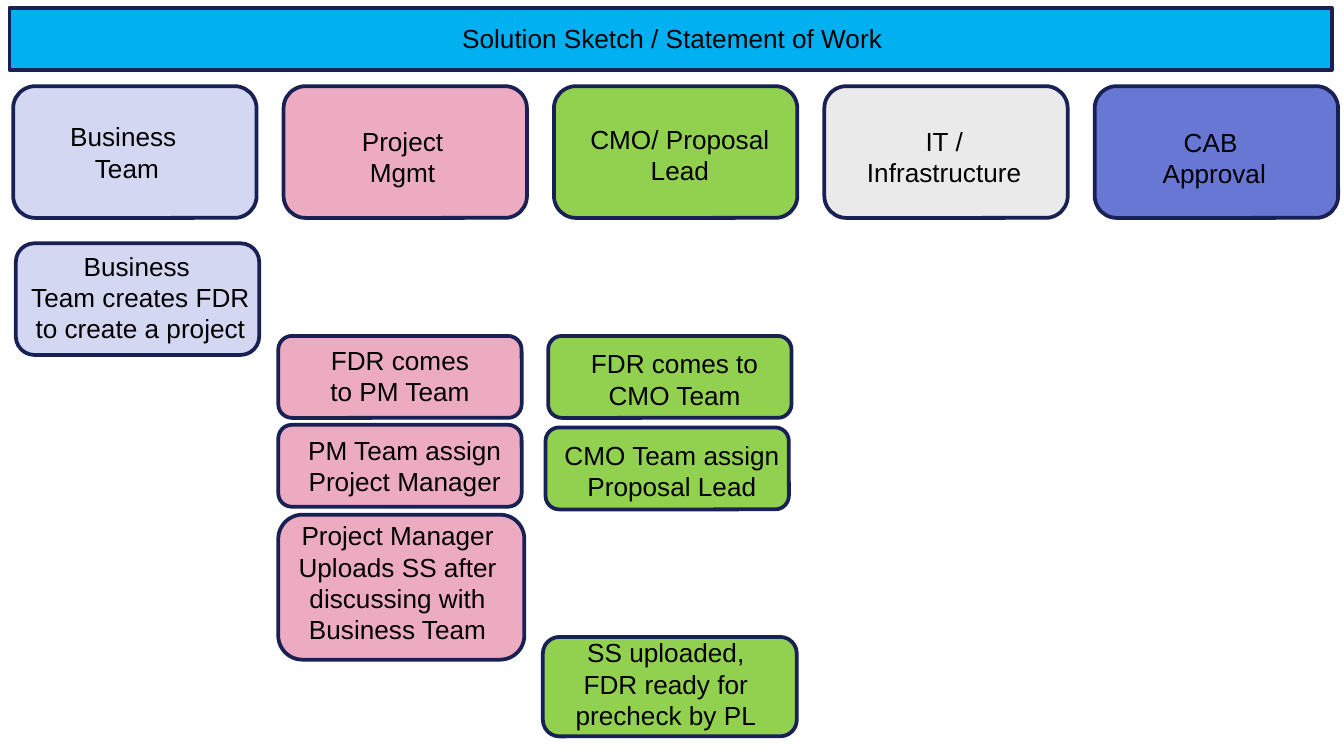
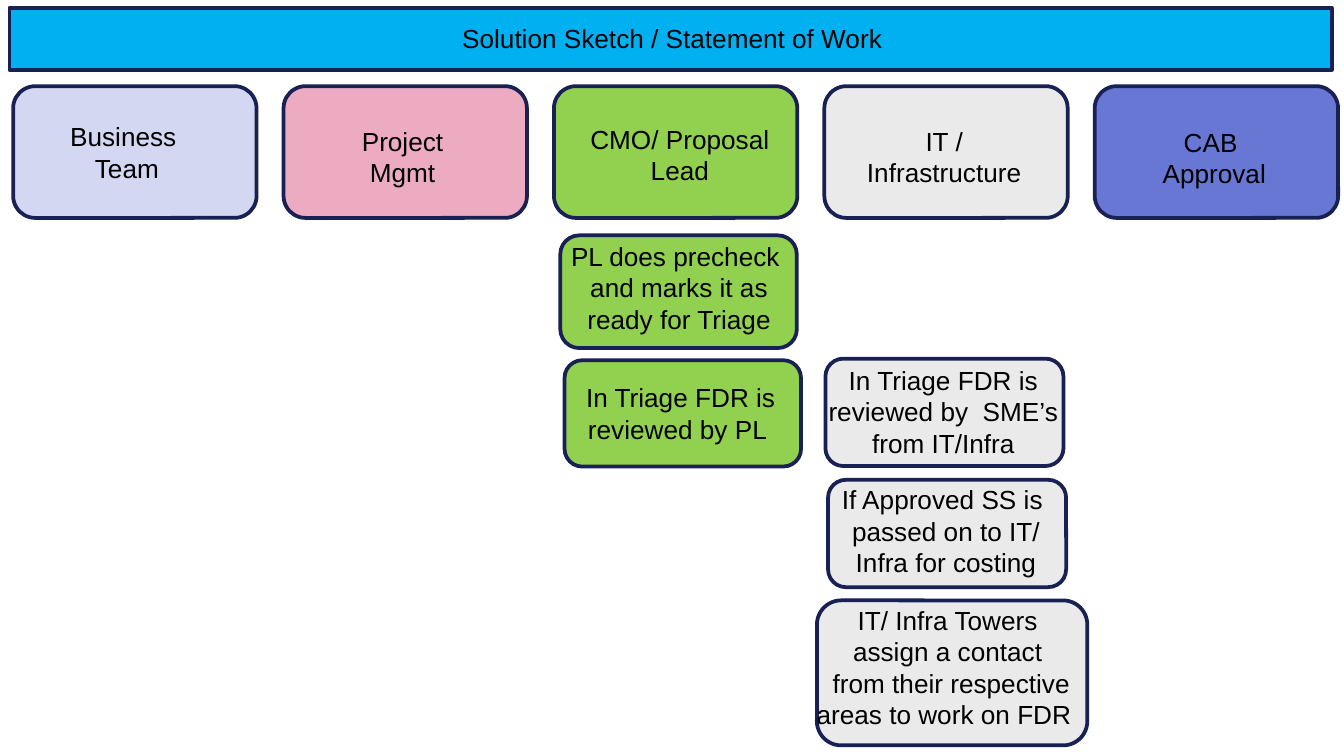
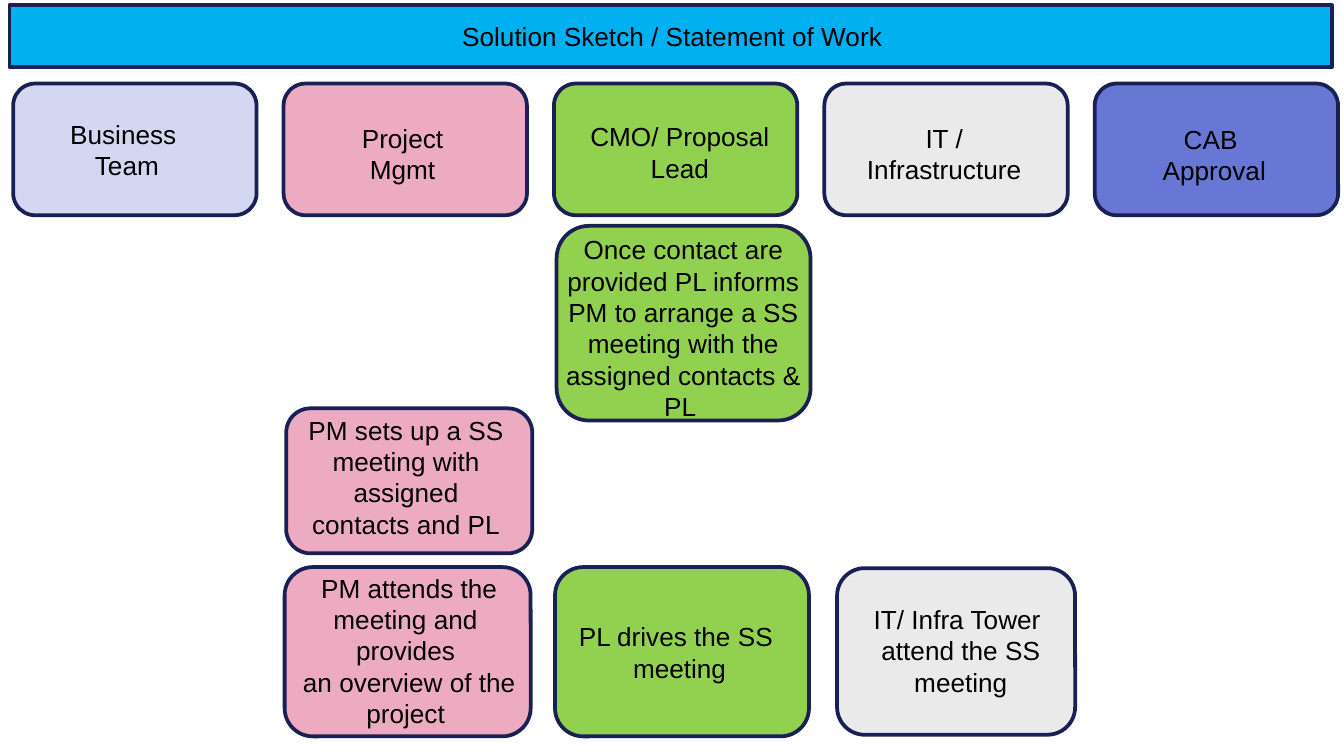
from dataclasses import dataclass

import pptx
import pptx.dml.color
import pptx.enum.shapes
import pptx.enum.text
import pptx.presentation
import pptx.shapes.autoshape
import pptx.shapes.base
import pptx.slide
import pptx.util

Cm = pptx.util.Cm
RGBColor = pptx.dml.color.RGBColor
SHAPE = pptx.enum.shapes.MSO_SHAPE
ALIGN = pptx.enum.text.PP_ALIGN

NAVY = RGBColor(0x18, 0x20, 0x54)
BLACK = RGBColor(0x00, 0x00, 0x00)
SKY = RGBColor(0x00, 0xB0, 0xF0)
LAVENDER = RGBColor(0xD3, 0xD7, 0xF1)
PINK = RGBColor(0xED, 0xAB, 0xC2)
GREEN = RGBColor(0x92, 0xD0, 0x50)
GREY = RGBColor(0xEA, 0xEA, 0xEA)
INDIGO = RGBColor(0x67, 0x77, 0xD3)

FONT = "Arial"
FONT_SIZE = pptx.util.Pt(14)
LINE_WIDTH = pptx.util.Pt(2)
TITLE = "Solution Sketch / Statement of Work"
TITLE_ONLY_LAYOUT = 5
LANE_LEFT, LANE_TOP, LANE_PITCH = 0.25, 1.63, 5.11
LANE_WIDTH, LANE_HEIGHT = 4.6, 2.49


@dataclass(frozen=True)
class Area:
    """Left, top, width and height in centimetres."""

    left: float
    top: float
    width: float
    height: float

    def shifted(self, drop: float) -> "Area":
        """Return the same area moved down by drop."""
        return Area(self.left, self.top + drop, self.width, self.height)


@dataclass(frozen=True)
class Card:
    """A rounded box and the label lying over it."""

    fill: RGBColor
    text: str
    box: Area
    label: Area


@dataclass(frozen=True)
class Page:
    """The process steps of one slide and the offset of its header."""

    steps: tuple[Card, ...]
    header_drop: float = 0


BANNER = Area(0.18, 0.15, 24.99, 1.17)
BANNER_TEXT = Area(8.48, 0.3, 9.7, 0.86)

LANE_LABELS = (
    (LAVENDER, "Business \nTeam", Area(0.84, 2.16, 3.12, 1.45)),
    (PINK, "Project\nMgmt", Area(6.05, 2.24, 3.12, 1.45)),
    (GREEN, "CMO/ Proposal\nLead", Area(10.87, 2.21, 3.96, 1.45)),
    (GREY, "IT / Infrastructure", Area(15.98, 2.24, 3.73, 1.45)),
    (INDIGO, "CAB \nApproval", Area(21.39, 2.26, 3.12, 1.45)),
)
LANES = tuple(
    Card(fill, text, Area(LANE_LEFT + LANE_PITCH * index, LANE_TOP, LANE_WIDTH, LANE_HEIGHT), label)
    for index, (fill, text, label) in enumerate(LANE_LABELS)
)

REQUEST_PAGE = Page((
    Card(LAVENDER, "Business \nTeam creates FDR to create a project",
         Area(0.3, 4.6, 4.6, 2.11), Area(0.18, 4.6, 4.95, 1.73)),
    Card(PINK, "FDR comes to PM Team",
         Area(5.26, 6.35, 4.6, 1.55), Area(5.87, 6.38, 3.38, 0.91)),
    Card(GREEN, "FDR comes to CMO Team",
         Area(10.36, 6.35, 4.6, 1.55), Area(10.77, 6.45, 3.96, 1.45)),
    Card(PINK, "PM Team assign Project Manager",
         Area(5.26, 8.03, 4.6, 1.55), Area(5.54, 8.08, 4.22, 1.45)),
    Card(GREEN, "CMO Team assign Proposal Lead",
         Area(10.31, 8.08, 4.6, 1.55), Area(10.31, 8.18, 4.78, 1.45)),
    Card(PINK, "Project Manager Uploads SS after discussing with Business Team",
         Area(5.26, 9.73, 4.65, 2.74), Area(5.38, 9.7, 4.27, 2.95)),
    Card(GREEN, "SS uploaded,\nFDR ready for precheck by PL",
         Area(10.26, 12.04, 4.8, 1.88), Area(10.03, 11.91, 5.11, 2.49)),
))

TRIAGE_PAGE = Page((
    Card(GREEN, "PL does precheck \nand marks it as ready for Triage",
         Area(10.59, 4.45, 4.47, 2.13), Area(10.46, 4.42, 4.75, 2.34)),
    Card(GREEN, "In Triage FDR is reviewed by PL ",
         Area(10.67, 6.81, 4.47, 2.01), Area(10.49, 7.09, 4.75, 1.35)),
    Card(GREY, "In Triage FDR is reviewed by  SME’s from IT/Infra",
         Area(15.6, 6.78, 4.5, 2.03), Area(15.06, 6.76, 5.54, 2.82)),
    Card(GREY, "If Approved SS is \npassed on to IT/\nInfra for costing",
         Area(15.65, 9.07, 4.5, 2.03), Area(15.11, 9.02, 5.54, 2.06)),
    Card(GREY, "IT/ Infra Towers \nassign a contact \nfrom their respective areas to work on FDR  ",
         Area(15.44, 11.35, 5.11, 2.74), Area(14.83, 11.3, 6.3, 3.61)),
))

MEETING_PAGE = Page((
    Card(GREEN, "Once contact are provided PL informs PM to arrange a SS meeting "
                "with the assigned contacts & PL ",
         Area(10.52, 4.27, 4.8, 3.68), Area(10.36, 4.29, 5.11, 3.68)),
    Card(PINK, "PM sets up a SS meeting with assigned contacts and PL",
         Area(5.41, 7.72, 4.65, 2.74), Area(5.54, 7.7, 4.27, 2.64)),
    Card(PINK, "PM attends the meeting and \nprovides \nan overview of the project ",
         Area(5.38, 10.72, 4.65, 3.2), Area(4.93, 10.69, 5.61, 3.25)),
    Card(GREEN, "PL drives the SS \nmeeting",
         Area(10.49, 10.72, 4.8, 3.2), Area(10.29, 11.61, 5.11, 1.4)),
    Card(GREY, "IT/ Infra Tower \nattend the SS\nmeeting",
         Area(15.82, 10.74, 4.5, 3.15), Area(15.39, 11.28, 5.54, 2.06)),
), header_drop=-0.05)


def lengths(area: Area) -> tuple[Cm, Cm, Cm, Cm]:
    """Convert an area to slide lengths."""
    return Cm(area.left), Cm(area.top), Cm(area.width), Cm(area.height)


def write_text(holder: pptx.shapes.base.BaseShape, text: str, align: ALIGN) -> None:
    """Fill a text holder and format its paragraphs."""
    frame = holder.text_frame
    frame.text = text
    frame.word_wrap = True
    frame.auto_size = pptx.enum.text.MSO_AUTO_SIZE.NONE
    frame.vertical_anchor = pptx.enum.text.MSO_ANCHOR.TOP
    for para in frame.paragraphs:
        para.alignment = align
        for span in para.runs:
            span.font.name = FONT
            span.font.size = FONT_SIZE
            span.font.color.rgb = BLACK


def draw_box(slide: pptx.slide.Slide, kind: SHAPE, area: Area, fill: RGBColor) -> pptx.shapes.autoshape.Shape:
    """Draw a filled box with the shared outline."""
    box = slide.shapes.add_shape(kind, *lengths(area))
    box.shadow.inherit = False
    box.fill.solid()
    box.fill.fore_color.rgb = fill
    box.line.color.rgb = NAVY
    box.line.width = LINE_WIDTH
    return box


def draw_card(slide: pptx.slide.Slide, card: Card, drop: float = 0) -> None:
    """Draw a rounded box with its centred label."""
    draw_box(slide, SHAPE.ROUNDED_RECTANGLE, card.box.shifted(drop), card.fill)
    label = slide.shapes.add_textbox(*lengths(card.label.shifted(drop)))
    write_text(label, card.text, ALIGN.CENTER)


def draw_banner(slide: pptx.slide.Slide, drop: float) -> None:
    """Draw the banner and lay the slide title over it."""
    banner = draw_box(slide, SHAPE.RECTANGLE, BANNER.shifted(drop), SKY)
    title = slide.shapes.title
    title.left, title.top, title.width, title.height = lengths(BANNER_TEXT.shifted(drop))
    write_text(title, TITLE, ALIGN.LEFT)
    banner.element.addnext(title.element)


def add_page(deck: pptx.presentation.Presentation, page: Page) -> None:
    """Add a slide with banner, lane headers and steps."""
    slide = deck.slides.add_slide(deck.slide_layouts[TITLE_ONLY_LAYOUT])
    draw_banner(slide, page.header_drop)
    for lane in LANES:
        draw_card(slide, lane, page.header_drop)
    for step in page.steps:
        draw_card(slide, step)


def main() -> None:
    """Build and save the deck."""
    deck = pptx.Presentation()
    deck.slide_width, deck.slide_height = Cm(25.4), Cm(14.29)
    for page in (REQUEST_PAGE, TRIAGE_PAGE, MEETING_PAGE):
        add_page(deck, page)
    deck.save("out.pptx")


if __name__ == "__main__":
    main()
